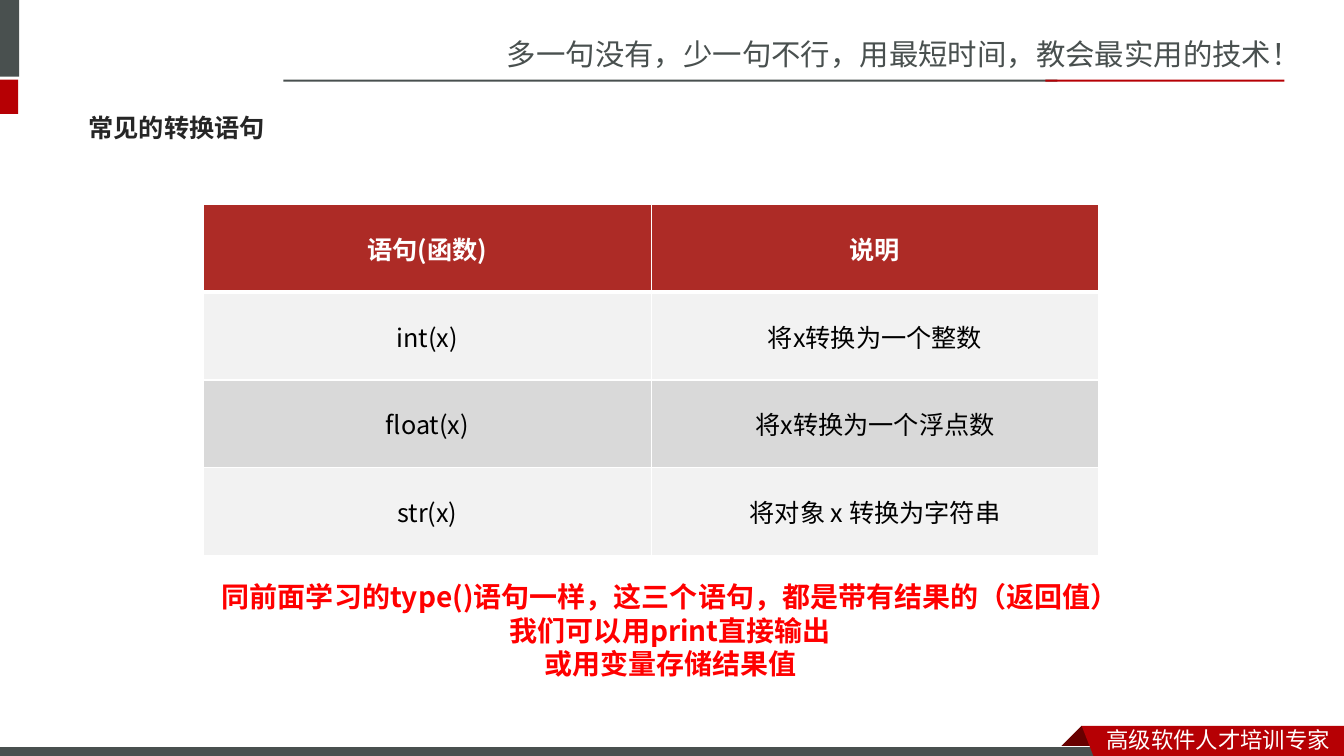
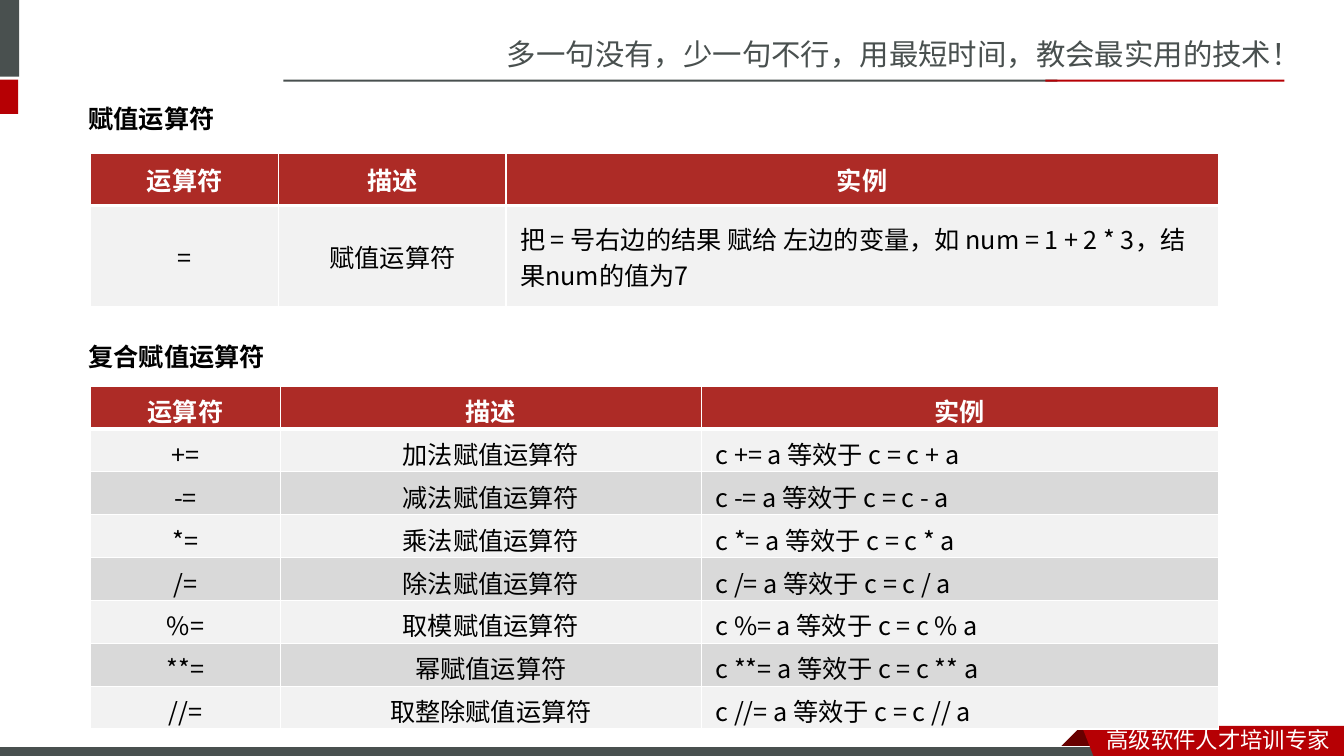
"""Two slides on Python conversion functions and assignment operators."""
import lxml.etree
import pptx
import pptx.dml.color
import pptx.enum.shapes
import pptx.enum.text
import pptx.oxml.ns
import pptx.util

C = {"dark": "49504F", "red": "B60004", "fold": "680000", "white": "FFFFFF",
     "header": "AD2B26", "odd": "F2F2F2", "even": "D9D9D9",
     "black": "000000", "title": "262626", "alert": "FF0000"}
SC, JP, LATIN = "Noto Sans CJK SC", "Noto Sans CJK JP", "Calibri"
MIDDLE = pptx.enum.text.MSO_ANCHOR.MIDDLE
LEFT, CENTER = pptx.enum.text.PP_ALIGN.LEFT, pptx.enum.text.PP_ALIGN.CENTER
qn, rgb = pptx.oxml.ns.qn, pptx.dml.color.RGBColor.from_string

prs = pptx.Presentation()
prs.slide_width = pptx.util.Inches(13.333)
prs.slide_height = pptx.util.Inches(7.5)
COL, ROW = prs.slide_width / 100, prs.slide_height / 100


def grid(*lengths):
    """Turn alternating columns and rows of a 100 by 100 grid into EMU."""
    return [round(n * (ROW if i % 2 else COL)) for i, n in enumerate(lengths)]


def write(tf, text, size=18, font=SC, color="black", bold=False, align=LEFT, line=None):
    """Fill a text frame, one paragraph per line of text."""
    tf.word_wrap = True
    for i, words in enumerate(text.split("\n")):
        p = tf.add_paragraph() if i else tf.paragraphs[0]
        p.alignment = align
        if line:
            p.line_spacing = pptx.util.Pt(line)
        r = p.add_run()
        r.text = words
        r.font.size, r.font.bold, r.font.name = pptx.util.Pt(size), bold, font
        r.font.color.rgb = rgb(C[color])
        ea = lxml.etree.SubElement(r.font._element, qn("a:ea"))
        ea.set("typeface", SC if font == LATIN else font)


decor = [
    ("dark", None, (-0.45, 0, 1.88, 10.13)),
    ("red", None, (-0.45, 10.53, 1.8, 4.53)),
    ("dark", None, (21.08, 10.53, 57.6, 0.27)),
    ("red", None, (77.78, 10.53, 17.78, 0.27)),
    ("fold", None, [(80.48, 96), (82.13, 98.93), (82.05, 99.07), (78.9, 99.07), (78.83, 98.93)]),
    ("dark", "white", (-0.08, 98.8, 82.5, 1.6)),
    ("red", None, [(80.48, 96), (100, 96), (100, 100.53), (81.45, 100.4)]),
]
shared_texts = [
    ((36.98, 3.73, 63.08, 6.27), "多一句没有，少一句不行，用最短时间，教会最实用的技术！",
     dict(size=21, color="dark", line=27)),
    ((81.6, 95.33, 18.4, 4.93), "高级软件人才培训专家", dict(size=16, color="white", line=19.2)),
]
heading = dict(font=LATIN, bold=True, line=21.6)
operators = [("+", "加法"), ("-", "减法"), ("*", "乘法"), ("/", "除法"),
             ("%", "取模"), ("**", "幂"), ("//", "取整除")]
slides = [
    dict(
        texts=[
            ((5.85, 13.73, 88.2, 7.6), "常见的转换语句",
             dict(font=JP, color="title", bold=True, line=24)),
            ((15.08, 76, 69.6, 14.8),
             "同前面学习的type()语句一样，这三个语句，都是带有结果的（返回值）\n"
             "我们可以用print直接输出\n或用变量存储结果值",
             dict(size=20, color="alert", bold=True, align=CENTER, line=24)),
        ],
        tables=[
            dict(at=(15.15, 27.07), cols=[33.3] * 2, rows=[11.6] * 4, font=JP, bottom=0.06, cells=[
                ("语句(函数)", "说明"),
                ("int(x)", "将x转换为一个整数"),
                ("float(x)", "将x转换为一个浮点数"),
                ("str(x)", "将对象 x 转换为字符串")]),
        ]),
    dict(
        texts=[((5.85, 13.07, 30, 5.33), "赋值运算符", heading),
               ((5.85, 44.53, 30, 5.33), "复合赋值运算符", heading)],
        tables=[
            dict(at=(6.75, 20.27), cols=[14, 16.9, 53], rows=[6.93, 13.4], font=LATIN, bottom=0.06, cells=[
                ("运算符", "描述", "实例"),
                ("=", "赋值运算符",
                 "把 = 号右边的结果 赋给 左边的变量，如 num = 1 + 2 * 3，结果num的值为7")]),
            dict(at=(6.75, 51.07), cols=[14.1, 31.35, 38.45], rows=[5.67] * 8, font=LATIN, bottom=0, cells=[
                ("运算符", "描述", "实例"),
                *[(f"{op}=", f"{name}赋值运算符", f"c {op}= a 等效于 c = c {op} a")
                  for op, name in operators]]),
        ]),
]

for page in slides:
    s = prs.slides.add_slide(prs.slide_layouts[6])
    for fill, edge, outline in decor:
        if isinstance(outline, list):
            points = [grid(*point) for point in outline]
            pen = s.shapes.build_freeform(*points[0])
            pen.add_line_segments(points[1:])
            sp = pen.convert_to_shape()
        else:
            sp = s.shapes.add_shape(pptx.enum.shapes.MSO_SHAPE.RECTANGLE, *grid(*outline))
        sp.shadow.inherit = False
        sp.fill.solid()
        sp.fill.fore_color.rgb = rgb(C[fill])
        if edge:
            sp.line.color.rgb = rgb(C[edge])
            sp.line.width = pptx.util.Pt(0.75)
        else:
            sp.line.fill.background()

    for at, text, style in shared_texts + page["texts"]:
        write(s.shapes.add_textbox(*grid(*at)).text_frame, text, **style)

    for t in page["tables"]:
        cols, rows = t["cols"], t["rows"]
        at = grid(*t["at"], sum(cols), sum(rows))
        tbl = s.shapes.add_table(len(rows), len(cols), *at).table
        for i, width in enumerate(cols):
            tbl.columns[i].width = round(width * COL)
        for i, height in enumerate(rows):
            tbl.rows[i].height = round(height * ROW)
            for j, text in enumerate(t["cells"][i]):
                cell = tbl.cell(i, j)
                cell.vertical_anchor = MIDDLE
                cell.margin_left = cell.margin_right = pptx.util.Inches(0.14)
                cell.margin_top = pptx.util.Inches(0.06)
                cell.margin_bottom = pptx.util.Inches(t["bottom"])
                cell.fill.solid()
                cell.fill.fore_color.rgb = rgb(C["header" if i == 0 else "odd" if i % 2 else "even"])
                write(cell.text_frame, text, font=JP if i else t["font"],
                      color="black" if i else "white", bold=i == 0,
                      align=LEFT if i and j == 2 else CENTER)
                tcPr = cell._tc.get_or_add_tcPr()
                for k, side in enumerate(["lnL", "lnR", "lnT", "lnB"]):
                    thick = (i, side) in [(0, "lnB"), (1, "lnT")]
                    ln = lxml.etree.Element(qn(f"a:{side}"), w=str(pptx.util.Pt(3 if thick else 1)))
                    solid = lxml.etree.SubElement(ln, qn("a:solidFill"))
                    lxml.etree.SubElement(solid, qn("a:srgbClr"), val=C["white"])
                    tcPr.insert(k, ln)

prs.save("out.pptx")
